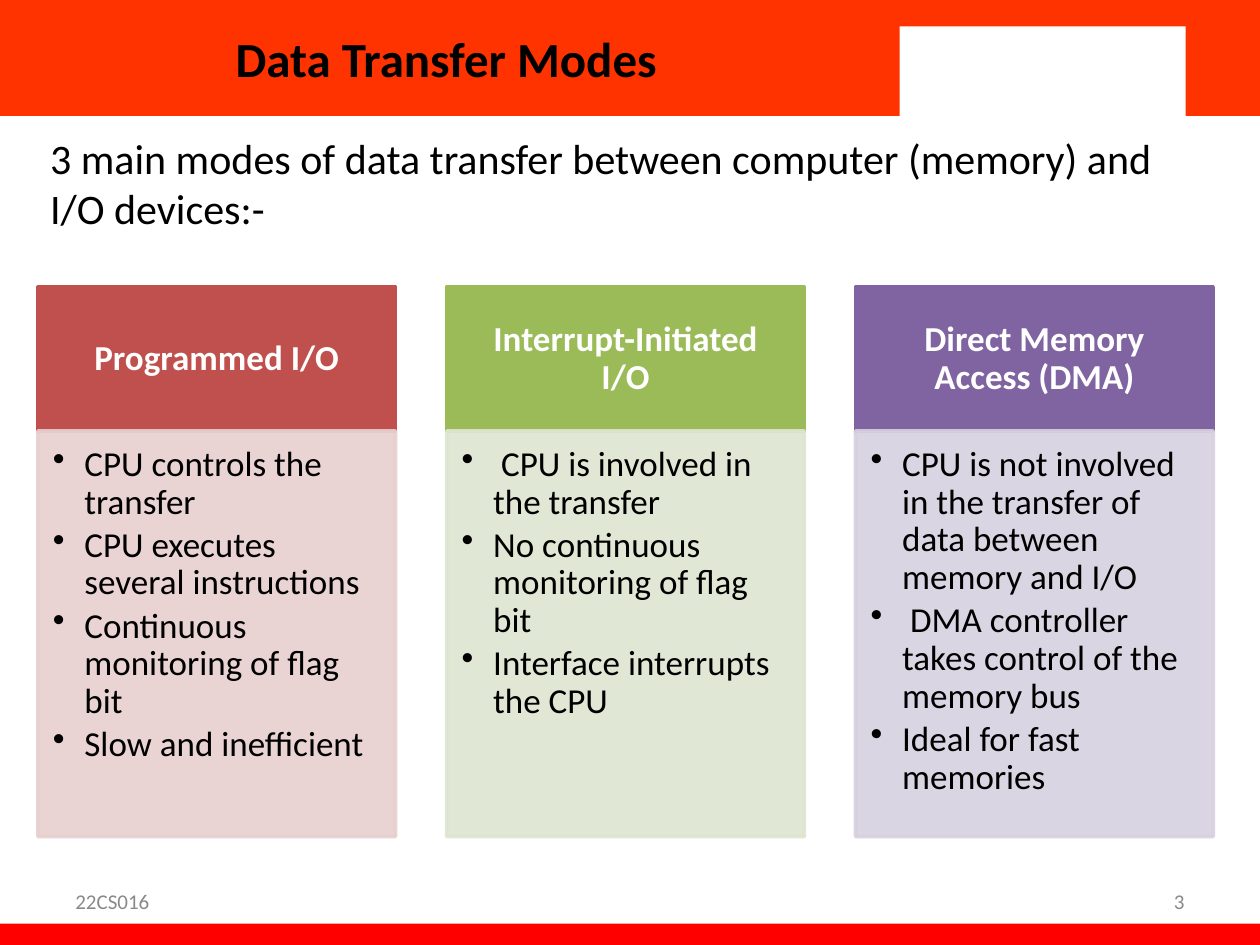
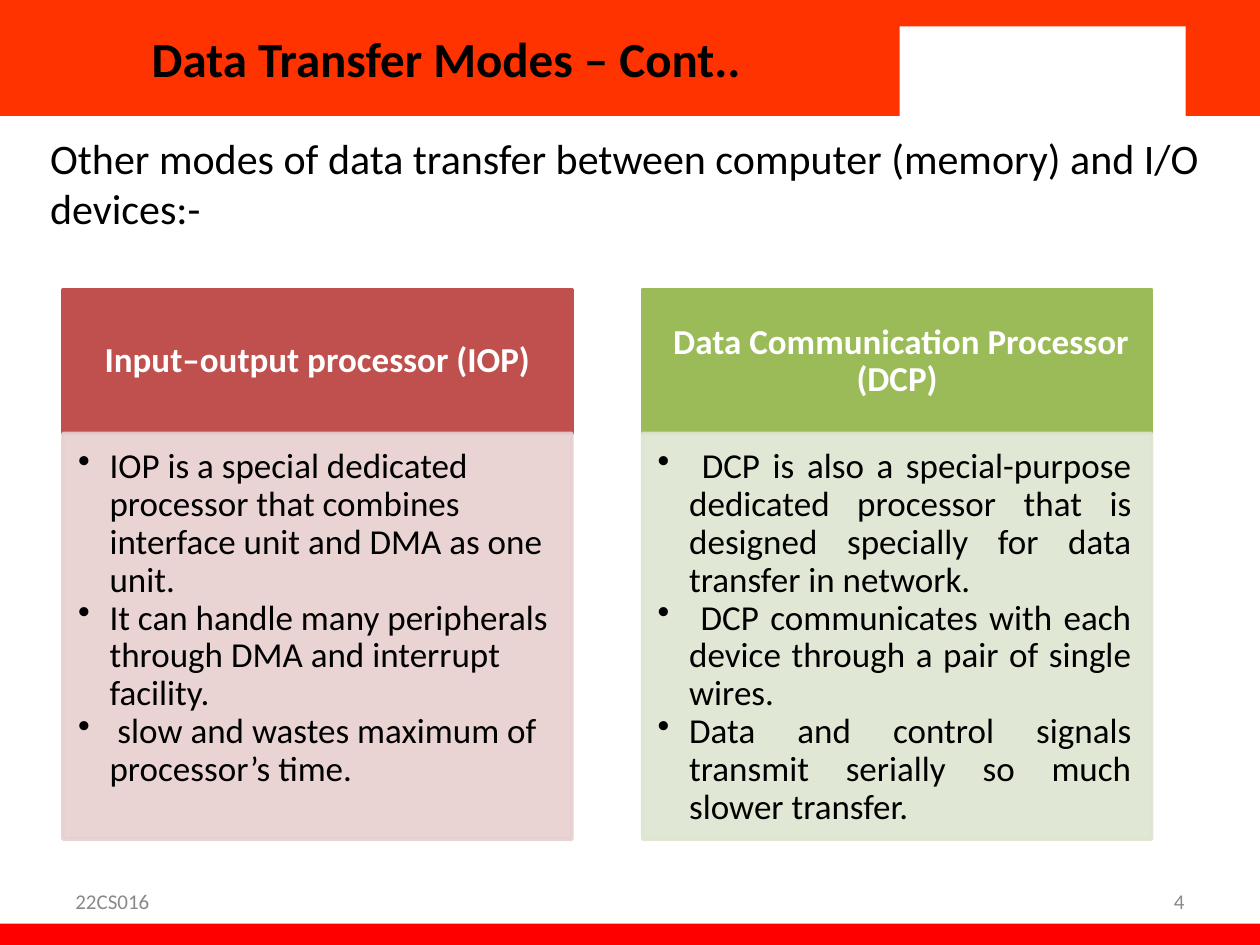
import dataclasses
import typing

import lxml.etree
import pptx
import pptx.dml.color
import pptx.enum.shapes
import pptx.enum.text
import pptx.oxml.ns
import pptx.util

Inches = pptx.util.Inches
Pt = pptx.util.Pt
Align = pptx.enum.text.PP_ALIGN
Anchor = pptx.enum.text.MSO_ANCHOR

# Shared colours and formats
COLORS: dict[str, str] = {
    "band": "FF3300", "footer_band": "FF0000", "white": "FFFFFF",
    "black": "000000", "gray": "898989",
    "red": "BF504D", "red_tint": "E7CFCF",
    "green": "9BBB59", "green_tint": "DDE5D0",
    "purple": "8064A2", "purple_tint": "D7D1DF",
}
FONT = "Calibri"
BULLET_INDENT = 0.25
HEADER_HEIGHT, BODY_HEIGHT = 1.14, 3.22


@dataclasses.dataclass(frozen=True)
class Box:
    left: float
    top: float
    width: float
    height: float

    def lengths(self) -> list[pptx.util.Length]:
        return [Inches(value) for value in dataclasses.astuple(self)]


@dataclasses.dataclass(frozen=True)
class TextStyle:
    size: int
    color: str = "black"
    bold: bool = False
    align: typing.Any = Align.LEFT
    anchor: typing.Any = Anchor.MIDDLE
    insets: tuple[float, float, float, float] = (0.1, 0.05, 0.1, 0.05)
    line_spacing: float = 1.0
    space_before: int = 0
    bulleted: bool = False


@dataclasses.dataclass(frozen=True)
class Card:
    heading: str
    color: str
    points: tuple[str, ...]
    align: typing.Any = Align.LEFT


@dataclasses.dataclass(frozen=True)
class ModesSlide:
    number: int
    title: str
    intro: str
    first_card: tuple[float, float]
    card_width: float
    card_pitch: float
    point_gap: int
    cards: tuple[Card, ...]


TITLE = TextStyle(28, bold=True, align=Align.CENTER)
INTRO = TextStyle(24, anchor=Anchor.TOP)
FOOTER = TextStyle(12, "gray")
PAGE_NUMBER = dataclasses.replace(FOOTER, align=Align.RIGHT)
CARD_HEADING = TextStyle(20, "white", True, Align.CENTER,
                         insets=(0.16, 0.09, 0.16, 0.09), line_spacing=0.9)
CARD_POINTS = TextStyle(20, anchor=Anchor.TOP, insets=(0.12, 0.12, 0.16, 0.17),
                        line_spacing=0.9, bulleted=True)

BANDS: tuple[tuple[Box, str], ...] = (
    (Box(0, 0, 10, 0.92), "band"),
    (Box(0, 7.33, 10, 0.22), "footer_band"),
    (Box(6.72, 0, 3.28, 0.92), "band"),
    (Box(7.14, 0.21, 2.27, 0.75), "white"),
)

# Slide content
SLIDES: tuple[ModesSlide, ...] = (
    ModesSlide(
        3, "Data Transfer Modes",
        "3 main modes of data transfer between computer (memory) and I/O devices:-",
        (0.3, 2.28), 2.84, 3.245, 3,
        (
            Card("Programmed I/O", "red", (
                "CPU controls the transfer",
                "CPU executes several instructions",
                "Continuous monitoring of flag bit",
                "Slow and inefficient")),
            Card("Interrupt-Initiated I/O", "green", (
                " CPU is involved in the transfer",
                "No continuous monitoring of flag bit",
                "Interface interrupts the CPU")),
            Card("Direct Memory Access (DMA)", "purple", (
                "CPU is not involved in the transfer of data between memory and I/O",
                " DMA controller takes control of the memory bus",
                "Ideal for fast memories")),
        )),
    ModesSlide(
        4, "Data Transfer Modes – Cont..",
        "Other modes of data transfer between computer (memory) and I/O devices:-",
        (0.5, 2.3), 4.04, 4.6, 0,
        (
            Card("Input–output processor (IOP)", "red", (
                "IOP is a special dedicated processor that combines interface unit "
                "and DMA as one unit.",
                "It can handle many peripherals through DMA and interrupt facility.",
                " slow and wastes maximum of processor’s time.")),
            Card(" Data Communication Processor (DCP)", "green", (
                " DCP is also a special-purpose dedicated processor that is designed "
                "specially for data transfer in network.",
                " DCP communicates with each device through a pair of single wires. ",
                "Data and control signals transmit serially so much slower transfer."),
                Align.JUSTIFY),
        )),
)


def rgb(name: str) -> pptx.dml.color.RGBColor:
    return pptx.dml.color.RGBColor.from_string(COLORS[name])


def set_attributes(target: typing.Any, values: dict[str, typing.Any]) -> None:
    for name, value in values.items():
        setattr(target, name, value)


def add_bullet(paragraph: typing.Any) -> None:
    properties = paragraph._p.get_or_add_pPr()
    indent = Inches(BULLET_INDENT)
    properties.set("marL", str(indent))
    properties.set("indent", str(-indent))
    bullet = lxml.etree.SubElement(properties, pptx.oxml.ns.qn("a:buChar"))
    bullet.set("char", "•")


def write_text(shape: typing.Any, lines: tuple[str, ...], style: TextStyle) -> None:
    frame = shape.text_frame
    left, top, right, bottom = (Inches(inset) for inset in style.insets)
    set_attributes(frame, {
        "word_wrap": True, "vertical_anchor": style.anchor,
        "margin_left": left, "margin_top": top,
        "margin_right": right, "margin_bottom": bottom,
    })
    for index, line in enumerate(lines):
        paragraph = frame.add_paragraph() if index else frame.paragraphs[0]
        set_attributes(paragraph, {
            "alignment": style.align, "line_spacing": style.line_spacing,
            "space_before": Pt(style.space_before if index else 0),
        })
        if style.bulleted:
            add_bullet(paragraph)
        run = paragraph.add_run()
        run.text = line
        set_attributes(run.font, {"name": FONT, "size": Pt(style.size), "bold": style.bold})
        run.font.color.rgb = rgb(style.color)


def add_text(slide: typing.Any, box: Box, text: str, style: TextStyle) -> None:
    write_text(slide.shapes.add_textbox(*box.lengths()), (text,), style)


def add_rectangle(slide: typing.Any, box: Box, color: str, outlined: bool = False) -> typing.Any:
    shape = slide.shapes.add_shape(pptx.enum.shapes.MSO_SHAPE.RECTANGLE, *box.lengths())
    shape.shadow.inherit = False
    shape.fill.solid()
    shape.fill.fore_color.rgb = rgb(color)
    if outlined:
        shape.line.color.rgb = rgb(color)
        shape.line.width = Pt(2)
    else:
        shape.line.fill.background()
    return shape


def set_opacity(shape: typing.Any, percent: int) -> None:
    """Apply one opacity to both the fill and the outline."""
    for color in shape._element.spPr.iter(pptx.oxml.ns.qn("a:srgbClr")):
        alpha = lxml.etree.SubElement(color, pptx.oxml.ns.qn("a:alpha"))
        alpha.set("val", str(percent * 1000))


def add_card(slide: typing.Any, card: Card, left: float, top: float,
             width: float, point_gap: int) -> None:
    header = add_rectangle(slide, Box(left, top, width, HEADER_HEIGHT), card.color, True)
    write_text(header, (card.heading,), CARD_HEADING)
    body_box = Box(left, top + HEADER_HEIGHT, width, BODY_HEIGHT)
    body = add_rectangle(slide, body_box, f"{card.color}_tint", True)
    set_opacity(body, 90)
    write_text(body, card.points, dataclasses.replace(
        CARD_POINTS, align=card.align, space_before=point_gap))


def add_modes_slide(presentation: typing.Any, content: ModesSlide) -> None:
    slide = presentation.slides.add_slide(presentation.slide_layouts[6])
    # Bands, title, intro and footer
    for box, color in BANDS:
        add_rectangle(slide, box, color)
    add_text(slide, Box(0, 0, 7.08, 0.92), content.title, TITLE)
    add_text(slide, Box(0.3, 1, 9.33, 6.06), content.intro, INTRO)
    add_text(slide, Box(0.5, 6.95, 2.33, 0.4), "22CS016", FOOTER)
    add_text(slide, Box(7.17, 6.95, 2.33, 0.4), str(content.number), PAGE_NUMBER)
    # Evenly spaced cards
    left, top = content.first_card
    for index, card in enumerate(content.cards):
        add_card(slide, card, left + index * content.card_pitch, top,
                 content.card_width, content.point_gap)


def main() -> None:
    presentation = pptx.Presentation()
    presentation.slide_width = Inches(10)
    presentation.slide_height = Inches(7.5)
    for content in SLIDES:
        add_modes_slide(presentation, content)
    presentation.save("out.pptx")


if __name__ == "__main__":
    main()
